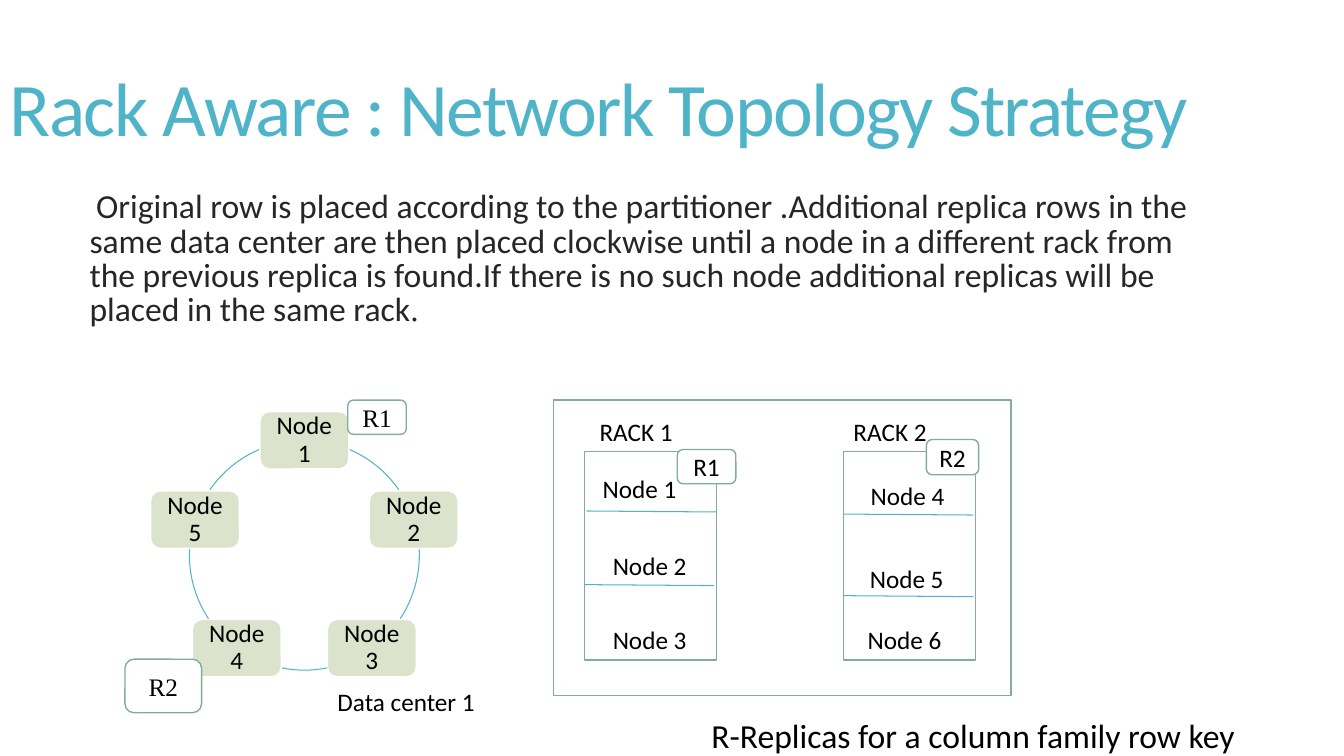
import math
from lxml import etree
from pptx import Presentation
from pptx.dml.color import RGBColor
from pptx.enum import shapes, text
from pptx.oxml import ns
from pptx.util import Pt

BLACK, WHITE, TEAL, SAGE, PALE = "000000", "FFFFFF", "50B4C8", "84AC9D", "DCE3CC"
RING_X, RING_Y, RING_R = 217.4, 396.6, 82.1
NODE_W, NODE_H = 63.4, 41
RACK_TOP, RACK_W, RACK_H = 322.6, 94.4, 149

STRATEGY = (
    "Original row is placed according to the partitioner .Additional replica rows "
    "in the same data center are then placed clockwise until a node in a different "
    "rack from the previous replica is found.If there is no such node additional "
    "replicas will be placed in the same rack"
)
RACKS = [
    (417.6, [(419, 365), (417.6, 417.6)]),
    (602.6, [(602.6, 367.2), (602.6, 425.5)]),
]
LABELS = [
    ("RACK 1", 421.2, 293.8, 89.3),
    ("RACK 2", 602.6, 293.8, 75),
    ("Node 1", 423.4, 334.8, 81.4),
    ("Node 2", 430.6, 389.5, 92.2),
    ("Node 3", 430.6, 442.1, 70.6),
    ("Node 4", 614.9, 339.8, 80),
    ("Node 5", 614.2, 398.9, 82),
    ("Node 6", 612.7, 442.1, 73.4),
    ("Data center 1", 234, 486.7, 136.8),
]
REPLICAS = [
    ("R1", 248.4, 285.8, 41.8, 24.5, "Times New Roman"),
    ("R2", 89.3, 470.9, 54.7, 38.2, "Times New Roman"),
    ("R1", 483.8, 321.1, 41.8, 24.5, "Calibri"),
    ("R2", 661.7, 313.9, 37.4, 25.2, "Calibri"),
]
ARCS = [(293.2, 325.3), (357, 33.5), (78.4, 101.6), (146.5, 183), (214.7, 246.8)]


def color(hex_value):
    return RGBColor.from_string(hex_value)


def style_run(run, size, hex_value=BLACK, font="Calibri"):
    run.font.size = Pt(size)
    run.font.name = font
    run.font.color.rgb = color(hex_value)


def add_label(slide, words, left, top, width, height=28.8, size=18, hex_value=BLACK):
    label = slide.shapes.add_textbox(Pt(left), Pt(top), Pt(width), Pt(height))
    frame = label.text_frame
    frame.word_wrap = True
    frame.text = words
    style_run(frame.paragraphs[0].runs[0], size, hex_value)
    return frame


def add_box(slide, kind, left, top, width, height, fill=WHITE, line=SAGE):
    box = slide.shapes.add_shape(kind, Pt(left), Pt(top), Pt(width), Pt(height))
    box.shadow.inherit = False
    box.fill.solid()
    box.fill.fore_color.rgb = color(fill)
    box.line.color.rgb = color(line)
    box.line.width = Pt(1)
    return box


def add_tag(slide, words, left, top, width, height, font="Calibri", fill=WHITE, line=SAGE):
    rounded = shapes.MSO_SHAPE.ROUNDED_RECTANGLE
    frame = add_box(slide, rounded, left, top, width, height, fill, line).text_frame
    frame.word_wrap = True
    frame.vertical_anchor = text.MSO_ANCHOR.MIDDLE
    frame.text = words
    paragraph = frame.paragraphs[0]
    paragraph.alignment = text.PP_ALIGN.CENTER
    style_run(paragraph.runs[0], 18, font=font)
    return paragraph


def add_arc(slide, start, end):
    arc = slide.shapes.add_shape(
        shapes.MSO_SHAPE.ARC,
        Pt(RING_X - RING_R), Pt(RING_Y - RING_R), Pt(2 * RING_R), Pt(2 * RING_R),
    )
    arc.shadow.inherit = False
    arc.fill.background()
    arc.line.color.rgb = color(TEAL)
    arc.line.width = Pt(0.75)
    arc.adjustments[0] = start * 0.6
    arc.adjustments[1] = end * 0.6


def add_divider(slide, left, top):
    divider = slide.shapes.add_connector(
        shapes.MSO_CONNECTOR.STRAIGHT, Pt(left), Pt(top), Pt(left + 92.6), Pt(top + 0.7)
    )
    divider.line.color.rgb = color(TEAL)
    divider.line.width = Pt(0.75)
    etree.SubElement(divider._element.spPr, ns.qn("a:effectLst"))


def add_title(slide):
    frame = add_label(slide, "Rack Aware : Network Topology Strategy",
                      0, 28.8, 894.2, 104.4, 54, TEAL)
    frame.vertical_anchor = text.MSO_ANCHOR.MIDDLE
    paragraph = frame.paragraphs[0]
    paragraph.line_spacing = 0.85
    paragraph.runs[0].font._element.set("spc", "-120")


def add_strategy(slide):
    frame = add_label(slide, STRATEGY, 49.7, 133.2, 828, 342.7, 24, "262626")
    paragraph = frame.paragraphs[0]
    paragraph.line_spacing = 0.85
    properties = paragraph._p.get_or_add_pPr()
    properties.set("marL", str(Pt(7.2)))
    properties.set("indent", str(-Pt(7.2)))
    etree.SubElement(properties, ns.qn("a:buChar")).set("char", " ")
    period = paragraph.add_run()
    period.text = "."
    style_run(period, 24, "262626", "Times New Roman")


def add_ring(slide):
    for index, (start, end) in enumerate(ARCS):
        angle = math.radians(72 * index)
        left = RING_X + RING_R * math.sin(angle) - NODE_W / 2
        top = RING_Y - RING_R * math.cos(angle) - NODE_H / 2
        node = add_tag(slide, f"Node {index + 1}", left, top, NODE_W, NODE_H,
                       fill=PALE, line=WHITE)
        node.line_spacing = 0.9
        add_arc(slide, start, end)


def add_racks(slide):
    rectangle = shapes.MSO_SHAPE.RECTANGLE
    add_box(slide, rectangle, 395.3, 285.8, 326.9, 211)
    for left, dividers in RACKS:
        add_box(slide, rectangle, left, RACK_TOP, RACK_W, RACK_H)
        for divider in dividers:
            add_divider(slide, *divider)


def main():
    deck = Presentation()
    deck.slide_width, deck.slide_height = Pt(960), Pt(540)
    slide = deck.slides.add_slide(deck.slide_layouts[6])
    add_title(slide)
    add_strategy(slide)
    add_ring(slide)
    add_racks(slide)
    for label in LABELS:
        add_label(slide, *label)
    for replica in REPLICAS:
        add_tag(slide, *replica)
    add_label(slide, "R-Replicas for a column family row key", 501.1, 506.9, 431.3, 36, 24)
    deck.save("out.pptx")


if __name__ == "__main__":
    main()
